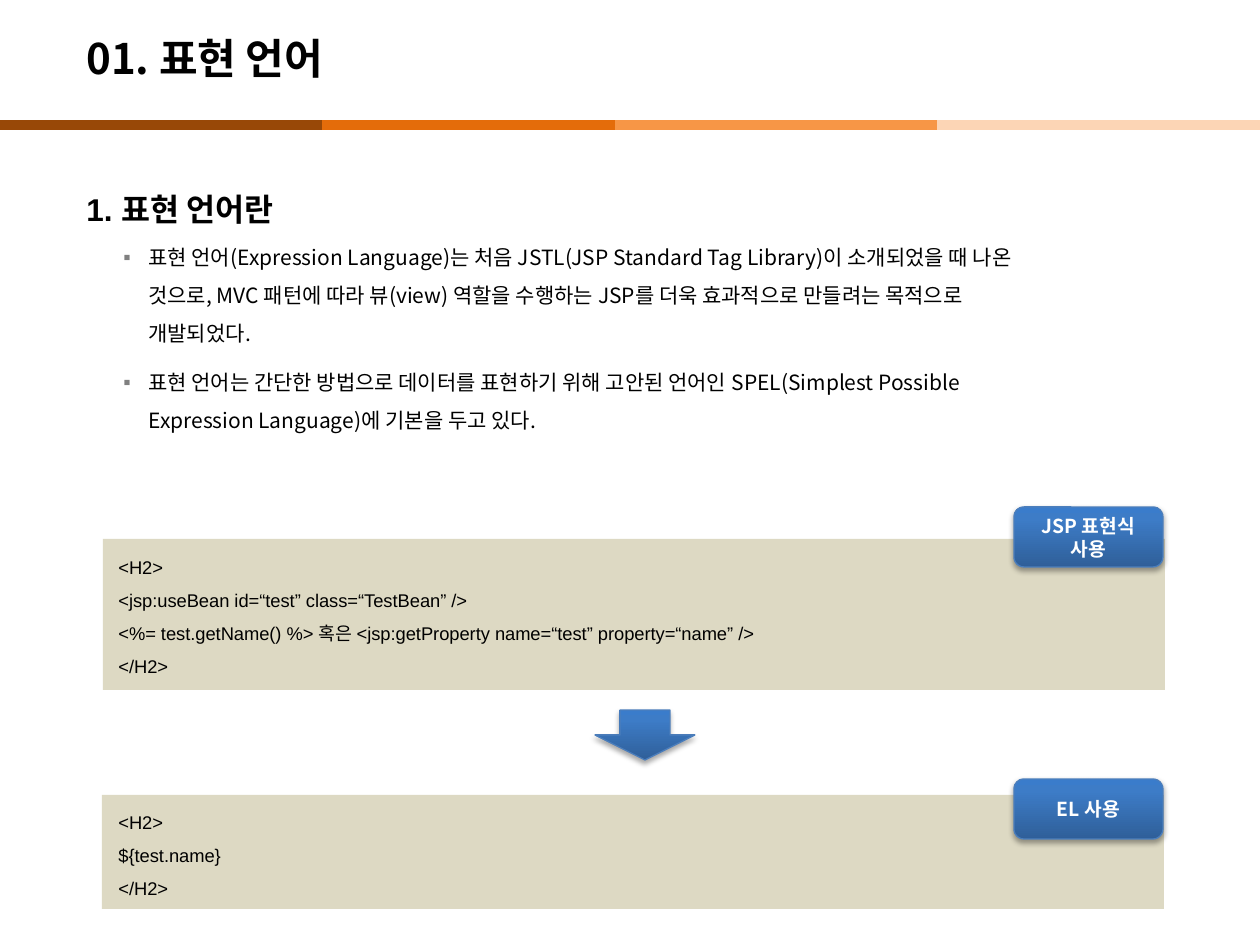
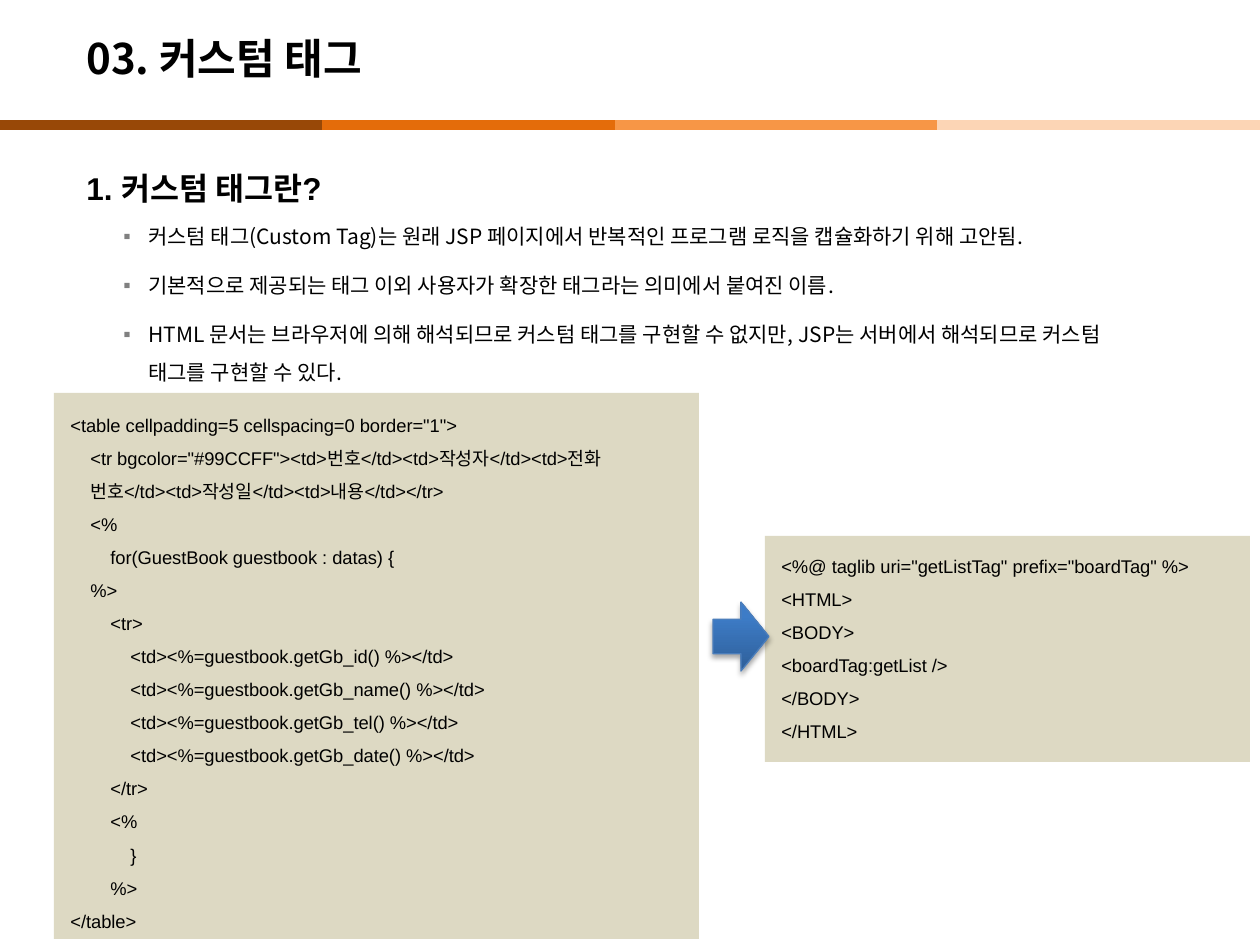
from copy import deepcopy
from dataclasses import dataclass
from typing import NamedTuple

from lxml.etree import SubElement
from pptx import Presentation
from pptx.dml.color import RGBColor
from pptx.enum.shapes import MSO_CONNECTOR, MSO_SHAPE
from pptx.enum.text import MSO_ANCHOR, PP_ALIGN
from pptx.oxml.ns import qn
from pptx.util import Emu, Pt

EMU_PER_PX = 914400 / 126
KOREAN_FONT = "Noto Sans CJK KR"
LATIN_FONT = "Arial"
CODE_INDENT = 20
COLORS = {
    "text": "000000",
    "label": "FFFFFF",
    "bullet": "808080",
    "panel": "DDD9C3",
    "accent_line": "4B7EBC",
    "accent_dark": "2F5F99",
    "accent_mid": "3D7CC7",
    "accent_light": "3A7CCB",
    "band_brown": "984807",
    "band_orange": "E46C0A",
    "band_light": "F79646",
    "band_pale": "FCD5B5",
}


class Box(NamedTuple):
    left: int
    top: int
    width: int
    height: int


class Band(NamedTuple):
    start: int
    end: int
    color: str


@dataclass
class CodePanel:
    area: Box
    text_area: Box
    lines: list[tuple[int, str]]


@dataclass
class Accent:
    kind: MSO_SHAPE
    area: Box
    label: str = ""


@dataclass
class Lesson:
    title: str
    heading: str
    heading_spacing: float
    body_area: Box
    points: list[str]
    panels: list[CodePanel]
    accents: list[Accent]


TITLE_AREA = Box(74, 20, 1042, 76)
BAND_Y = 125
BANDS = [
    Band(292, 615, "band_orange"),
    Band(615, 937, "band_light"),
    Band(937, 1260, "band_pale"),
    Band(0, 322, "band_brown"),
]

LESSONS = [
    Lesson(
        "01. 표현 언어",
        "1. 표현 언어란",
        1.5,
        Box(74, 165, 992, 745),
        [
            "표현 언어(Expression Language)는 처음 JSTL(JSP Standard Tag Library)이 소개되었을 때 나온 "
            "것으로, MVC 패턴에 따라 뷰(view) 역할을 수행하는 JSP를 더욱 효과적으로 만들려는 목적으로 "
            "개발되었다.",
            "표현 언어는 간단한 방법으로 데이터를 표현하기 위해 고안된 언어인 SPEL(Simplest Possible "
            "Expression Language)에 기본을 두고 있다.",
        ],
        [
            CodePanel(Box(103, 539, 1062, 151), Box(106, 539, 713, 146), [
                (0, "<H2>"),
                (0, "<jsp:useBean id=“test” class=“TestBean” />"),
                (0, "<%= test.getName() %> 혹은 <jsp:getProperty name=“test” property=“name” />"),
                (0, "</H2>"),
            ]),
            CodePanel(Box(102, 795, 1062, 114), Box(106, 794, 160, 114), [
                (0, "<H2>"),
                (0, "${test.name}"),
                (0, "</H2>"),
            ]),
        ],
        [
            Accent(MSO_SHAPE.DOWN_ARROW, Box(595, 710, 100, 50)),
            Accent(MSO_SHAPE.ROUNDED_RECTANGLE, Box(1014, 507, 149, 60), "JSP 표현식 사용"),
            Accent(MSO_SHAPE.ROUNDED_RECTANGLE, Box(1014, 779, 149, 60), "EL 사용"),
        ],
    ),
    Lesson(
        "03. 커스텀 태그",
        "1. 커스텀 태그란?",
        2.0,
        Box(74, 125, 1071, 745),
        [
            "커스텀 태그(Custom Tag)는 원래 JSP 페이지에서 반복적인 프로그램 로직을 캡슐화하기 위해 고안됨.",
            "기본적으로 제공되는 태그 이외 사용자가 확장한 태그라는 의미에서 붙여진 이름.",
            "HTML 문서는 브라우저에 의해 해석되므로 커스텀 태그를 구현할 수 없지만, JSP는 서버에서 "
            "해석되므로 커스텀 태그를 구현할 수 있다.",
        ],
        [
            CodePanel(Box(54, 393, 645, 546), Box(58, 397, 626, 543), [
                (0, '<table cellpadding=5 cellspacing=0 border="1">'),
                (1, '<tr bgcolor="#99CCFF"><td>번호</td><td>작성자</td><td>전화'),
                (1, "번호</td><td>작성일</td><td>내용</td></tr>"),
                (1, "<%"),
                (2, "for(GuestBook guestbook : datas) {"),
                (1, "%>"),
                (2, "<tr>"),
                *((3, f"<td><%=guestbook.getGb_{field}() %></td>") for field in ("id", "name", "tel", "date")),
                (2, "</tr>"),
                (2, "<%"),
                (3, "}"),
                (2, "%>"),
                (0, "</table>"),
            ]),
            CodePanel(Box(765, 536, 485, 226), Box(769, 538, 466, 209), [
                (0, '<%@ taglib uri="getListTag" prefix="boardTag" %>'),
                (0, "<HTML>"),
                (0, "<BODY>"),
                (0, "<boardTag:getList />"),
                (0, "</BODY>"),
                (0, "</HTML>"),
            ]),
        ],
        [Accent(MSO_SHAPE.RIGHT_ARROW, Box(713, 602, 56, 69))],
    ),
]


def px(length: int) -> Emu:
    return Emu(round(length * EMU_PER_PX))


def place(area: Box) -> tuple[Emu, ...]:
    return tuple(px(length) for length in area)


def rgb(color: str) -> RGBColor:
    return RGBColor.from_string(COLORS[color])


def add_text_frame(slide, area: Box):
    frame = slide.shapes.add_textbox(*place(area)).text_frame
    frame.word_wrap = True
    return frame


def write(frame, text: str, size: float, face: str, bold: bool = False,
          color: str = "text", spacing: float = 1.0):
    paragraph = frame.paragraphs[0] if not frame.text else frame.add_paragraph()
    paragraph.text = text
    paragraph.line_spacing = spacing
    font = paragraph.font
    font.size, font.name, font.bold = Pt(size), face, bold
    font.color.rgb = rgb(color)
    defaults = paragraph._p.pPr.find(qn("a:defRPr"))
    SubElement(defaults, qn("a:ea")).set("typeface", KOREAN_FONT)
    return paragraph


def add_bullet(paragraph) -> None:
    properties = paragraph._p.pPr
    properties.set("marL", str(px(62)))
    properties.set("indent", str(-px(25)))
    tint = SubElement(properties, qn("a:buClr"))
    SubElement(tint, qn("a:srgbClr")).set("val", COLORS["bullet"])
    face = SubElement(properties, qn("a:buFont"))
    face.set("typeface", LATIN_FONT)
    mark = SubElement(properties, qn("a:buChar"))
    mark.set("char", "▪")
    defaults = properties.find(qn("a:defRPr"))
    for part in (tint, face, mark):
        defaults.addprevious(part)


def draw_bands(slide) -> None:
    for band in BANDS:
        line = slide.shapes.add_connector(
            MSO_CONNECTOR.STRAIGHT, px(band.start), px(BAND_Y), px(band.end), px(BAND_Y))
        line.line.color.rgb = rgb(band.color)
        line.line.width = Pt(6)
        SubElement(line._element.spPr, qn("a:effectLst"))


def draw_body(slide, lesson: Lesson) -> None:
    frame = add_text_frame(slide, lesson.body_area)
    write(frame, lesson.heading, 18, LATIN_FONT, True, spacing=lesson.heading_spacing)
    for point in lesson.points:
        paragraph = write(frame, point, 12, KOREAN_FONT, spacing=1.5)
        paragraph.space_before, paragraph.space_after = Pt(2.4), Pt(4)
        add_bullet(paragraph)


def draw_panel(slide, panel: CodePanel) -> None:
    background = slide.shapes.add_shape(MSO_SHAPE.RECTANGLE, *place(panel.area))
    background.shadow.inherit = False
    background.fill.solid()
    background.fill.fore_color.rgb = rgb("panel")
    background.line.fill.background()
    frame = add_text_frame(slide, panel.text_area)
    for depth, code in panel.lines:
        paragraph = write(frame, code, 10.5, LATIN_FONT, spacing=1.5)
        paragraph._p.pPr.set("marL", str(px(depth * CODE_INDENT)))


def fill_gradient(shape) -> None:
    shape.fill.gradient()
    shape.fill.gradient_angle = 90
    stop_list = shape._element.spPr.find(".//" + qn("a:gsLst"))
    stop_list.append(deepcopy(stop_list[-1]))
    stops = ((0, "accent_dark"), (0.8, "accent_mid"), (1, "accent_light"))
    for stop, (position, color) in zip(shape.fill.gradient_stops, stops):
        stop.position = position
        stop.color.rgb = rgb(color)


def cast_shadow(shape) -> None:
    shape.shadow.inherit = False
    effects = shape._element.spPr.find(qn("a:effectLst"))
    shadow = SubElement(effects, qn("a:outerShdw"), blurRad=str(Pt(3.1)),
                        dist=str(Pt(1.8)), dir="5400000", rotWithShape="0")
    tint = SubElement(shadow, qn("a:srgbClr"), val=COLORS["text"])
    SubElement(tint, qn("a:alpha"), val="35000")


def draw_accent(slide, accent: Accent) -> None:
    shape = slide.shapes.add_shape(accent.kind, *place(accent.area))
    fill_gradient(shape)
    shape.line.color.rgb = rgb("accent_line")
    shape.line.width = Pt(0.75)
    cast_shadow(shape)
    if accent.label:
        shape.text_frame.vertical_anchor = MSO_ANCHOR.MIDDLE
        label = write(shape.text_frame, accent.label, 11, KOREAN_FONT, True, "label")
        label.alignment = PP_ALIGN.CENTER


def draw_lesson(deck, lesson: Lesson) -> None:
    slide = deck.slides.add_slide(deck.slide_layouts[6])
    draw_bands(slide)
    title = add_text_frame(slide, TITLE_AREA)
    title.vertical_anchor = MSO_ANCHOR.MIDDLE
    write(title, lesson.title, 24, KOREAN_FONT, True)
    draw_body(slide, lesson)
    for panel in lesson.panels:
        draw_panel(slide, panel)
    for accent in lesson.accents:
        draw_accent(slide, accent)


def main() -> None:
    deck = Presentation()
    deck.slide_width, deck.slide_height = px(1260), px(945)
    for lesson in LESSONS:
        draw_lesson(deck, lesson)
    deck.save("out.pptx")


if __name__ == "__main__":
    main()
